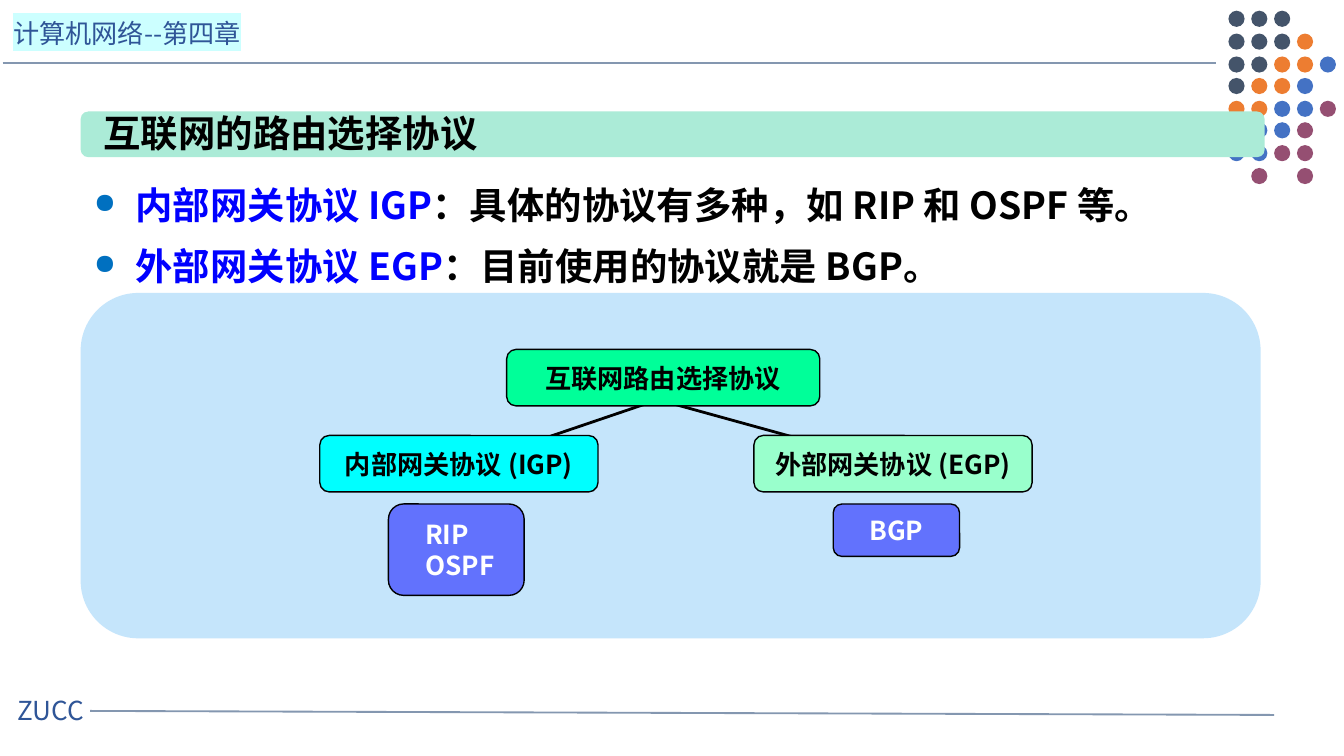
from dataclasses import dataclass
from typing import Optional

from lxml.etree import SubElement
from pptx import Presentation
from pptx.dml.color import RGBColor
from pptx.enum.shapes import MSO_CONNECTOR, MSO_SHAPE
from pptx.enum.text import MSO_ANCHOR, MSO_AUTO_SIZE, PP_ALIGN
from pptx.oxml.ns import qn
from pptx.util import Emu, Pt

PX = 9144  # 100 px to the inch
SLIDE_WIDTH = 1000 * PX
SLIDE_HEIGHT = SLIDE_WIDTH * 9 // 16
FONT = "Noto Sans CJK SC"
COLORS = {
    "black": "000000", "white": "FFFFFF", "rule": "8497B0", "label": "2F5597",
    "highlight": "CCFFFF", "slate": "44546A", "orange": "ED7D31", "blue": "4472C4",
    "plum": "954F72", "panel": "C5E5FB", "title bar": "ABEBD7", "term": "0000FF",
    "bullet": "0070C0", "root": "00FF99", "interior": "00FFFF", "exterior": "99FFCC",
}
DOT_COLORS = {"S": "slate", "O": "orange", "B": "blue", "P": "plum"}
DOT_ROWS = ["SSS", "SSSO", "SSOOB", "SOOB", "OOBBP", " BBP", "BBPP", " P P"]
DOT_SIZE, DOT_LEFT, DOT_TOP, DOT_PITCH_X, DOT_PITCH_Y = 12, 914, 8.3, 17, 16.6


@dataclass(frozen=True)
class Box:
    left: int
    top: int
    width: int
    height: int

    def emu(self) -> tuple:
        return tuple(Emu(n * PX) for n in (self.left, self.top, self.width, self.height))


@dataclass(frozen=True)
class Node:
    box: Box
    lines: tuple
    fill: str
    text_color: str = "black"
    opacity: Optional[int] = None
    align: PP_ALIGN = PP_ALIGN.CENTER
    inset: int = 10


@dataclass(frozen=True)
class Line:
    start: tuple
    end: tuple
    color: str
    width: float


HEADER_LINES = [
    Line((2, 47), (905, 47), "rule", 1),
    Line((67, 529), (948, 532), "rule", 1),
]
BRANCHES = [
    Line((482, 300), (382, 334), "black", 1.5),
    Line((499, 300), (622, 334), "black", 1.5),
]
NODES = [
    Node(Box(289, 375, 101, 68), ("RIP", "OSPF"), "term", "white", 50, PP_ALIGN.LEFT, 24),
    Node(Box(377, 260, 233, 42), ("互联网路由选择协议",), "root"),
    Node(Box(620, 375, 94, 39), ("BGP",), "term", "white", 50),
    Node(Box(561, 324, 207, 42), ("外部网关协议 (EGP)",), "exterior"),
    Node(Box(238, 324, 207, 42), ("内部网关协议 (IGP)",), "interior"),
]
BULLETS = [
    ("内部网关协议 IGP", "：具体的协议有多种，如 RIP 和 OSPF 等。"),
    ("外部网关协议 EGP", "：目前使用的协议就是 BGP。"),
]


def rgb(name: str) -> RGBColor:
    return RGBColor.from_string(COLORS[name])


def add_run(paragraph, text: str, size: int, color: str, bold: bool = False):
    run = paragraph.add_run()
    run.text = text
    run.font.size = Pt(size)
    run.font.bold = bold
    run.font.color.rgb = rgb(color)
    run.font.name = FONT
    SubElement(run.font._element, qn("a:ea"), typeface=FONT)
    return run


def highlight(run, color: str) -> None:
    properties = run.font._element
    element = SubElement(properties, qn("a:highlight"))
    SubElement(element, qn("a:srgbClr"), val=COLORS[color])
    properties.find(qn("a:solidFill")).addnext(element)


def add_text_box(slide, box: Box):
    shape = slide.shapes.add_textbox(*box.emu())
    shape.text_frame.word_wrap = True
    return shape.text_frame


def add_filled(slide, kind: MSO_SHAPE, box: Box, fill: str):
    shape = slide.shapes.add_shape(kind, *box.emu())
    shape.shadow.inherit = False
    shape.fill.solid()
    shape.fill.fore_color.rgb = rgb(fill)
    shape.line.fill.background()
    return shape


def add_line(slide, line: Line) -> None:
    points = [Emu(n * PX) for n in (*line.start, *line.end)]
    connector = slide.shapes.add_connector(MSO_CONNECTOR.STRAIGHT, *points)
    connector.line.color.rgb = rgb(line.color)
    connector.line.width = Pt(line.width)
    SubElement(connector.element.spPr, qn("a:effectLst"))


def add_node(slide, node: Node) -> None:
    shape = add_filled(slide, MSO_SHAPE.ROUNDED_RECTANGLE, node.box, node.fill)
    shape.line.color.rgb = rgb("black")
    shape.line.width = Pt(0.75)
    if node.opacity is not None:
        color = shape.element.spPr.find(qn("a:solidFill")).find(qn("a:srgbClr"))
        SubElement(color, qn("a:alpha"), val=str(node.opacity * 1000))
    frame = shape.text_frame
    frame.word_wrap = False
    frame.vertical_anchor = MSO_ANCHOR.MIDDLE
    frame.margin_left = Emu(node.inset * PX)
    for index, text in enumerate(node.lines):
        paragraph = frame.add_paragraph() if index else frame.paragraphs[0]
        paragraph.alignment = node.align
        add_run(paragraph, text, 14, node.text_color, True)


def add_dots(slide) -> None:
    for row, codes in enumerate(DOT_ROWS):
        top = round(DOT_TOP + row * DOT_PITCH_Y)
        for column, code in enumerate(codes):
            if code in DOT_COLORS:
                box = Box(DOT_LEFT + column * DOT_PITCH_X, top, DOT_SIZE, DOT_SIZE)
                add_filled(slide, MSO_SHAPE.OVAL, box, DOT_COLORS[code])


def place_title(slide, box: Box, text: str) -> None:
    """Format the title placeholder and bring it in front of its bar."""
    title = slide.shapes.title
    title.left, title.top, title.width, title.height = box.emu()
    frame = title.text_frame
    frame.word_wrap = False
    frame.auto_size = MSO_AUTO_SIZE.NONE
    frame.vertical_anchor = MSO_ANCHOR.TOP
    frame.paragraphs[0].alignment = PP_ALIGN.LEFT
    add_run(frame.paragraphs[0], text, 20, "black", True)
    title.element.getparent().append(title.element)


def add_bullets(slide, box: Box) -> None:
    frame = add_text_box(slide, box)
    for index, (term, explanation) in enumerate(BULLETS):
        paragraph = frame.add_paragraph() if index else frame.paragraphs[0]
        paragraph.line_spacing = Pt(33)
        properties = paragraph._p.get_or_add_pPr()
        properties.set("marL", str(31 * PX))
        properties.set("indent", str(-31 * PX))
        color = SubElement(properties, qn("a:buClr"))
        SubElement(color, qn("a:srgbClr"), val=COLORS["bullet"])
        SubElement(properties, qn("a:buSzPct"), val="75000")
        SubElement(properties, qn("a:buChar"), char="●")
        add_run(paragraph, term, 20, "term", True)
        add_run(paragraph, explanation, 20, "black", True)


def main() -> None:
    presentation = Presentation()
    presentation.slide_width = Emu(SLIDE_WIDTH)
    presentation.slide_height = Emu(SLIDE_HEIGHT)
    slide = presentation.slides.add_slide(presentation.slide_layouts[5])

    for line in HEADER_LINES:
        add_line(slide, line)
    footer = add_text_box(slide, Box(3, 512, 89, 34))
    add_run(footer.paragraphs[0], "ZUCC", 14, "label")
    chapter = add_text_box(slide, Box(0, 8, 216, 34))
    highlight(add_run(chapter.paragraphs[0], "计算机网络--第四章", 14, "label"), "highlight")
    add_dots(slide)

    add_filled(slide, MSO_SHAPE.ROUNDED_RECTANGLE, Box(60, 218, 878, 257), "panel")
    add_filled(slide, MSO_SHAPE.ROUNDED_RECTANGLE, Box(60, 83, 881, 34), "title bar")
    place_title(slide, Box(67, 77, 301, 44), "互联网的路由选择协议")
    add_bullets(slide, Box(60, 118, 878, 103))

    for line in BRANCHES:
        add_line(slide, line)
    for node in NODES:
        add_node(slide, node)
    presentation.save("out.pptx")


if __name__ == "__main__":
    main()
